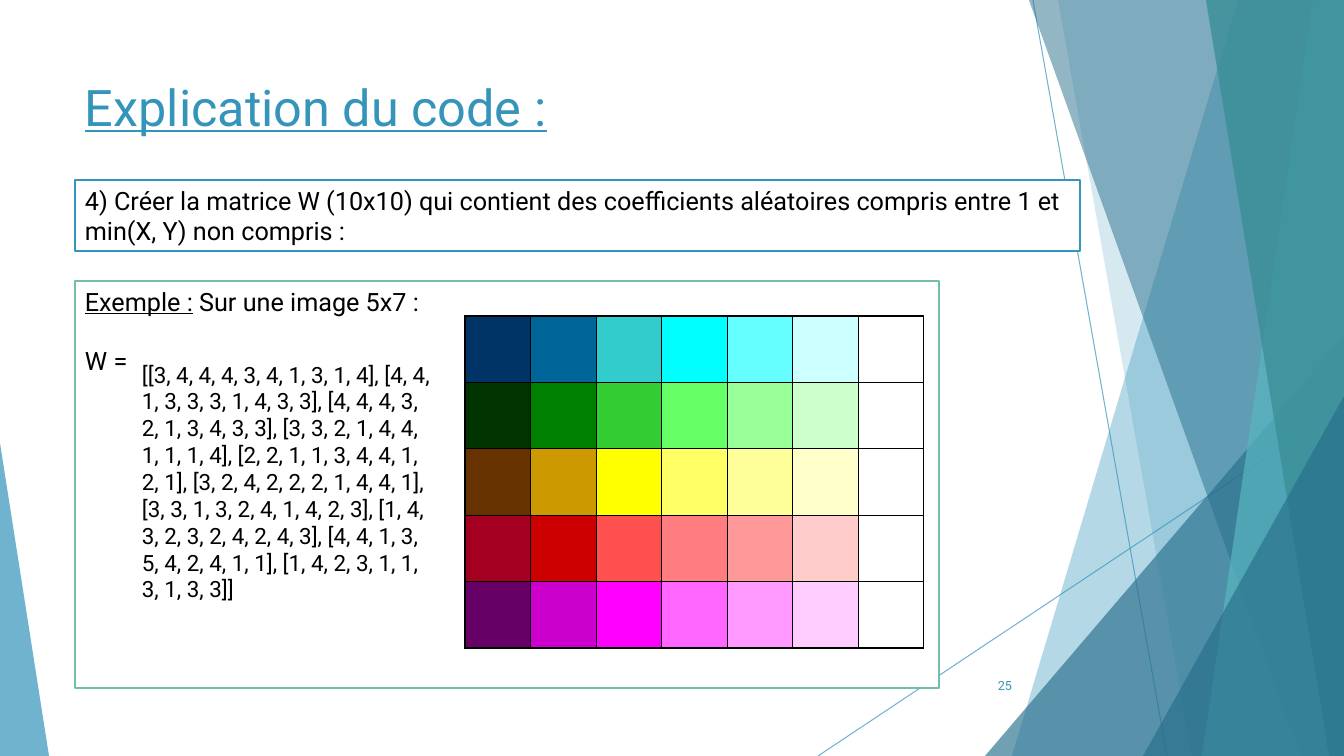
from lxml.etree import SubElement
from pptx import Presentation
from pptx.dml.color import RGBColor
from pptx.enum.shapes import MSO_CONNECTOR, MSO_SHAPE
from pptx.enum.text import MSO_ANCHOR, PP_ALIGN
from pptx.oxml import parse_xml
from pptx.oxml.ns import nsdecls, qn
from pptx.util import Pt

PX = 914400 / 100.8
WIDTH, HEIGHT = 1344, 756
FONT = "Roboto"

BLUE = RGBColor(0x34, 0x94, 0xBA)
DARK_BLUE = RGBColor(0x27, 0x6F, 0x8B)
TEAL = RGBColor(0x58, 0xB6, 0xC0)
DARK_TEAL = RGBColor(0x3A, 0x8F, 0x98)
GREEN = RGBColor(0x75, 0xBD, 0xA7)
WHITE = RGBColor(0xFF, 0xFF, 0xFF)
BLACK = RGBColor(0x00, 0x00, 0x00)

PALETTE = [[RGBColor.from_string(code) for code in row.split()] for row in (
    "003366 006699 33CCCC 00FFFF 66FFFF CCFFFF FFFFFF",
    "003300 008000 33CC33 66FF66 99FF99 CCFFCC FFFFFF",
    "663300 CC9900 FFFF00 FFFF66 FFFF99 FFFFCC FFFFFF",
    "A50021 CC0000 FF5050 FF7C80 FF9999 FFCCCC FFFFFF",
    "660066 CC00CC FF00FF FF66FF FF99FF FFCCFF FFFFFF",
)]

MATRIX_W = [
    [3, 4, 4, 4, 3, 4, 1, 3, 1, 4],
    [4, 4, 1, 3, 3, 3, 1, 4, 3, 3],
    [4, 4, 4, 3, 2, 1, 3, 4, 3, 3],
    [3, 3, 2, 1, 4, 4, 1, 1, 1, 4],
    [2, 2, 1, 1, 3, 4, 4, 1, 2, 1],
    [3, 2, 4, 2, 2, 2, 1, 4, 4, 1],
    [3, 3, 1, 3, 2, 4, 1, 4, 2, 3],
    [1, 4, 3, 2, 3, 2, 4, 2, 4, 3],
    [4, 4, 1, 3, 5, 4, 2, 4, 1, 1],
    [1, 4, 2, 3, 1, 1, 3, 1, 3, 3],
]


def px(*lengths):
    return [round(length * PX) for length in lengths]


def set_opacity(fill, percent):
    color = fill._xPr.find(qn("a:solidFill"))[0]
    SubElement(color, qn("a:alpha"), val=str(percent * 1000))


def paint(shape, color, opacity):
    shape.shadow.inherit = False
    shape.fill.solid()
    shape.fill.fore_color.rgb = color
    set_opacity(shape.fill, opacity)
    shape.line.fill.background()


def style_runs(paragraph, size, color):
    for run in paragraph.runs:
        run.font.name = FONT
        run.font.size = Pt(size)
        run.font.color.rgb = color


def add_thin_line(slide, start, end):
    line = slide.shapes.add_connector(MSO_CONNECTOR.STRAIGHT, *px(*start, *end))
    line.line.width = Pt(0.75)
    line.line.color.rgb = BLUE
    set_opacity(line.line.fill, 70)
    SubElement(line._element.spPr, qn("a:effectLst"))


def add_band(slide, top_left, bottom_left, color, opacity):
    """Band running from a slanted left edge to the slide's right edge."""
    outline = slide.shapes.build_freeform(top_left, 0, scale=PX)
    outline.add_line_segments([(WIDTH, 0), (WIDTH, HEIGHT), (bottom_left, HEIGHT)])
    paint(outline.convert_to_shape(), color, opacity)


def add_corner(slide, left, top, width, apex, color, opacity):
    """Triangle standing on the slide's bottom edge."""
    corner = slide.shapes.add_shape(
        MSO_SHAPE.ISOSCELES_TRIANGLE, *px(left, top, width, HEIGHT - top))
    corner.adjustments[0] = apex
    paint(corner, color, opacity)


def add_backdrop(slide):
    add_thin_line(slide, (1033, 0), (1167, HEIGHT))
    add_thin_line(slide, (WIDTH, 406), (818, HEIGHT))
    add_band(slide, 1238, 1012, BLUE, 36)
    add_band(slide, 1058, 1192, BLUE, 20)
    add_corner(slide, 985, 336, 359, 1, DARK_BLUE, 66)
    add_band(slide, 1029, 1301, DARK_BLUE, 50)
    add_band(slide, 1313, 1202, TEAL, 70)
    add_band(slide, 1206, 1329, DARK_TEAL, 80)
    add_corner(slide, 1143, 396, 201, 1, DARK_BLUE, 66)
    add_corner(slide, 0, 443, 49, 0, BLUE, 70)


def add_label(slide, box, text, size, align=PP_ALIGN.LEFT, underline=False):
    frame = slide.shapes.add_textbox(*px(*box)).text_frame
    frame.word_wrap = True
    frame.vertical_anchor = MSO_ANCHOR.MIDDLE
    frame.text = text
    label = frame.paragraphs[0]
    label.alignment = align
    style_runs(label, size, BLUE)
    label.runs[0].font.underline = underline


def add_panel(slide, box, paragraphs, size=18, border=None):
    """White box; each paragraph is a list of run texts."""
    panel = slide.shapes.add_shape(MSO_SHAPE.RECTANGLE, *px(*box))
    panel.shadow.inherit = False
    panel.fill.solid()
    panel.fill.fore_color.rgb = WHITE
    if border:
        panel.line.color.rgb = border
        panel.line.width = Pt(1.5)
    else:
        panel.line.fill.background()
    frame = panel.text_frame
    frame.word_wrap = True
    frame.vertical_anchor = MSO_ANCHOR.TOP
    for index, texts in enumerate(paragraphs):
        paragraph = frame.add_paragraph() if index else frame.paragraphs[0]
        paragraph.alignment = PP_ALIGN.LEFT
        for text in texts:
            paragraph.add_run().text = text
        style_runs(paragraph, size, BLACK)
    return frame


def add_border(cell):
    for side in ("lnL", "lnR", "lnT", "lnB"):
        cell._tc.get_or_add_tcPr().append(parse_xml(
            f'<a:{side} {nsdecls("a")} w="12700"><a:solidFill>'
            f'<a:srgbClr val="{BLACK}"/></a:solidFill></a:{side}>'))


def add_pixel_grid(slide, left, top, width, height):
    rows, columns = len(PALETTE), len(PALETTE[0])
    grid = slide.shapes.add_table(
        rows, columns, *px(left, top, width, height)).table
    grid.first_row = grid.horz_banding = False
    for row, colors in enumerate(PALETTE):
        for column, color in enumerate(colors):
            pixel = grid.cell(row, column)
            add_border(pixel)
            pixel.fill.solid()
            pixel.fill.fore_color.rgb = color


def add_example(slide, left, top, width, height):
    frame = add_panel(slide, (left, top, width, height),
                      [["Exemple :", " Sur une image 5x7 :"], ["W ="]], border=GREEN)
    heading, matrix_name = frame.paragraphs
    heading.runs[0].font.underline = True
    matrix_name.space_before = Pt(21)

    add_pixel_grid(slide, left + 390, top + 35, 459, 332)

    matrix = add_panel(slide, (left + 67, top + 65, 294, 271), [[str(MATRIX_W)]], 16)
    matrix.vertical_anchor = MSO_ANCHOR.MIDDLE
    matrix.margin_left = matrix.margin_right = 0
    matrix.margin_top = matrix.margin_bottom = 0


def main():
    presentation = Presentation()
    presentation.slide_width, presentation.slide_height = px(WIDTH, HEIGHT)
    slide = presentation.slides.add_slide(presentation.slide_layouts[6])

    add_backdrop(slide)
    add_label(slide, (75, 65, 523, 82), "Explication du code :", 36, underline=True)
    add_panel(slide, (75, 180, 1005, 71), [[
        "4) Créer la matrice W (10x10) qui contient des coefficients aléatoires "
        "compris entre 1 et min(X, Y) non compris :"]], border=BLUE)
    add_example(slide, 75, 281, 864, 407)
    add_label(slide, (947, 666, 75, 40), "25", 9, PP_ALIGN.RIGHT)

    presentation.save("out.pptx")


if __name__ == "__main__":
    main()
